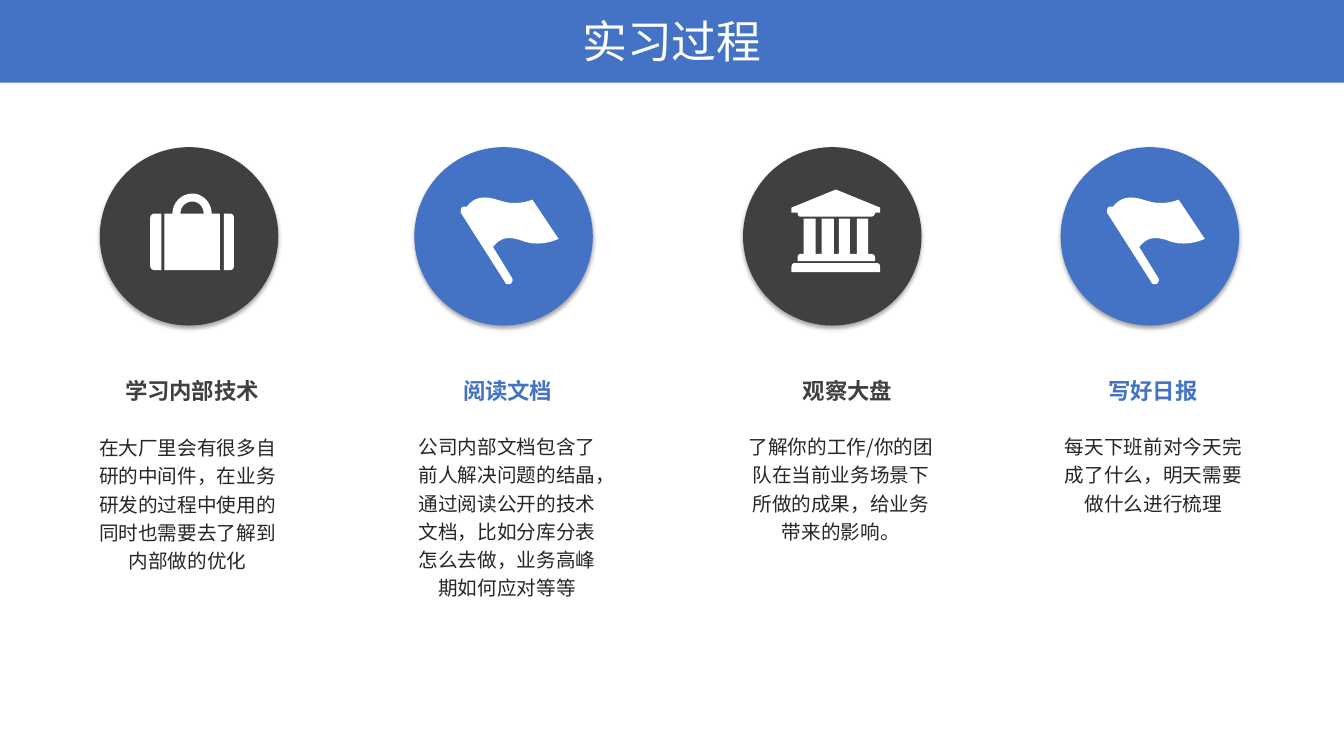
"""Build the internship process slide with four illustrated steps."""
from lxml import etree
from pptx import Presentation
from pptx import util as u
from pptx.dml.color import RGBColor
from pptx.enum import shapes, text
from pptx.oxml.ns import qn

TITLE = "实习过程"
STEPS = [
    dict(icon="briefcase", color="dark", circle=0.99, heading="学习内部技术",
         heading_box=(1.07, 3.69, 1.67, 0.49), body_box=(0.84, 4.23, 2.04, 1.8),
         body="在大厂里会有很多自研的中间件，在业务研发的过程中使用的同时也需要去了解到内部做的优化"),
    dict(icon="flag", color="blue", circle=4.11, heading="阅读文档",
         heading_box=(4.34, 3.69, 1.39, 0.37), body_box=(4.01, 4.22, 2.04, 2.08),
         body="公司内部文档包含了前人解决问题的结晶，通过阅读公开的技术文档，比如分库分表怎么去做，业务高峰期如何应对等等"),
    dict(icon="bank", color="dark", circle=7.37, heading="观察大盘",
         heading_box=(7.71, 3.69, 1.39, 0.37), body_box=(7.32, 4.22, 2.04, 1.23),
         body="了解你的工作/你的团队在当前业务场景下所做的成果，给业务带来的影响。"),
    dict(icon="flag", color="blue", circle=10.52, heading="写好日报",
         heading_box=(10.74, 3.69, 1.39, 0.37), body_box=(10.42, 4.22, 2.04, 0.95),
         body="每天下班前对今天完成了什么，明天需要做什么进行梳理"),
]
# Outlines are measured from the circle's corner; six numbers form a cubic curve.
ICONS = {
    "briefcase": [
        [(1.29, 1.22), (1.23, 1.22), (1.23, 0.66), (1.29, 0.66),
         (1.32, 0.66, 1.33, 0.68, 1.33, 0.7), (1.33, 1.18),
         (1.33, 1.2, 1.32, 1.22, 1.29, 1.22)],
        [(0.64, 1.22), (0.64, 0.66), (0.72, 0.66),
         (0.72, 0.55, 0.81, 0.46, 0.92, 0.46),
         (1.02, 0.46, 1.11, 0.55, 1.11, 0.66), (1.19, 0.66), (1.19, 1.22)],
        [(0.92, 0.54), (0.85, 0.54, 0.8, 0.59, 0.8, 0.66), (1.03, 0.66),
         (1.03, 0.59, 0.98, 0.54, 0.92, 0.54)],
        [(0.5, 1.18), (0.5, 0.7), (0.5, 0.68, 0.52, 0.66, 0.54, 0.66),
         (0.61, 0.66), (0.61, 1.22), (0.54, 1.22),
         (0.52, 1.22, 0.5, 1.2, 0.5, 1.18)],
    ],
    "flag": [
        [(1.17, 0.52), (1.17, 0.52, 1.02, 0.59, 0.85, 0.53),
         (0.68, 0.47, 0.59, 0.5, 0.52, 0.59), (0.48, 0.59),
         (0.46, 0.6, 0.46, 0.63, 0.46, 0.65), (0.9, 1.34),
         (0.9, 1.35, 0.91, 1.36, 0.93, 1.36),
         (0.94, 1.36, 0.95, 1.36, 0.96, 1.35),
         (0.97, 1.34, 0.98, 1.32, 0.97, 1.3), (0.78, 0.99),
         (0.85, 0.9, 0.93, 0.87, 1.1, 0.94),
         (1.27, 0.99, 1.43, 0.91, 1.43, 0.91)],
    ],
    "bank": [
        [(1.36, 0.6), (1.36, 0.65), (1.31, 0.65),
         (1.31, 0.67, 1.29, 0.69, 1.27, 0.69), (0.57, 0.69),
         (0.55, 0.69, 0.54, 0.67, 0.54, 0.65), (0.48, 0.65), (0.48, 0.6),
         (0.92, 0.42)],
        [(1.36, 1.19), (1.36, 1.24), (0.48, 1.24), (0.48, 1.19),
         (0.48, 1.16, 0.5, 1.15, 0.51, 1.15), (1.33, 1.15),
         (1.34, 1.15, 1.36, 1.16, 1.36, 1.19)],
        [(0.72, 0.71), (0.72, 1.06), (0.78, 1.06), (0.78, 0.71),
         (0.9, 0.71), (0.9, 1.06), (0.95, 1.06), (0.95, 0.71),
         (1.06, 0.71), (1.06, 1.06), (1.13, 1.06), (1.13, 0.71),
         (1.24, 0.71), (1.24, 1.06), (1.27, 1.06),
         (1.29, 1.06, 1.31, 1.07, 1.31, 1.1), (1.31, 1.13), (0.54, 1.13),
         (0.54, 1.1), (0.54, 1.07, 0.55, 1.06, 0.57, 1.06), (0.6, 1.06),
         (0.6, 0.71)],
    ],
}
THEME = dict(
    font="Noto Sans CJK SC",
    colors=dict(blue="4472C4", dark="404040", white="FFFFFF", ink="262626"),
    title=dict(size=u.Pt(32), bold=False),
    heading=dict(size=u.Pt(16), bold=True),
    body=dict(size=u.Pt(14), bold=False),
)
CIRCLE_TOP, CIRCLE_SIZE, CURVE_STEPS = 1.46, 1.77, 8


def rgb(name):
    return RGBColor.from_string(THEME["colors"][name])


def paint(shape, color):
    shape.shadow.inherit = False
    shape.fill.solid()
    shape.fill.fore_color.rgb = rgb(color)
    shape.line.fill.background()


def add_filled(page, kind, box, color):
    shape = page.shapes.add_shape(kind, *map(u.Inches, box))
    paint(shape, color)
    return shape


def cast_shadow(shape):
    effects = shape._element.spPr.find(qn("a:effectLst"))
    shadow = etree.SubElement(effects, qn("a:outerShdw"), blurRad=str(u.Pt(3.1)),
                              dist=str(u.Pt(1.8)), dir="5400000", rotWithShape="0")
    shade = etree.SubElement(shadow, qn("a:srgbClr"), val="000000")
    etree.SubElement(shade, qn("a:alpha"), val="35000")


def add_text(page, words, box, style, color, spacing=None):
    frame = page.shapes.add_textbox(*map(u.Inches, box)).text_frame
    frame.word_wrap = True
    para = frame.paragraphs[0]
    for name, value in dict(alignment=text.PP_ALIGN.CENTER, line_spacing=spacing).items():
        setattr(para, name, value)
    span = para.add_run()
    span.text = words
    for name, value in dict(THEME[style], name=THEME["font"]).items():
        setattr(span.font, name, value)
    span.font.color.rgb = rgb(color)
    etree.SubElement(span._r.get_or_add_rPr(), qn("a:ea"), typeface=THEME["font"])


def flatten(outline):
    points = [outline[0]]
    for piece in outline[1:]:
        if len(piece) == 2:
            points.append(piece)
            continue
        corners = [points[-1], piece[:2], piece[2:4], piece[4:]]
        for step in range(1, CURVE_STEPS + 1):
            t = step / CURVE_STEPS
            weights = ((1 - t) ** 3, 3 * t * (1 - t) ** 2, 3 * t * t * (1 - t), t ** 3)
            points.append(tuple(sum(w * corner[axis] for w, corner in zip(weights, corners))
                                for axis in (0, 1)))
    return points


def add_icon(page, outlines, left, top):
    builder = None
    for outline in outlines:
        points = [(u.Inches(left + x), u.Inches(top + y)) for x, y in flatten(outline)]
        if builder is None:
            builder = page.shapes.build_freeform(*points[0])
        else:
            builder.move_to(*points[0])
        builder.add_line_segments(points[1:], close=True)
    paint(builder.convert_to_shape(), "white")


def main():
    deck = Presentation()
    deck.slide_width, deck.slide_height = u.Inches(13.33), u.Inches(7.5)
    page = deck.slides.add_slide(deck.slide_layouts[6])
    add_filled(page, shapes.MSO_SHAPE.RECTANGLE, (0, 0, 13.33, 0.82), "blue")
    add_text(page, TITLE, (4.66, 0.09, 4.01, 0.64), "title", "white")
    for step in STEPS:
        circle_box = (step["circle"], CIRCLE_TOP, CIRCLE_SIZE, CIRCLE_SIZE)
        cast_shadow(add_filled(page, shapes.MSO_SHAPE.OVAL, circle_box, step["color"]))
        add_icon(page, ICONS[step["icon"]], step["circle"], CIRCLE_TOP)
        add_text(page, step["heading"], step["heading_box"], "heading", step["color"])
        add_text(page, step["body"], step["body_box"], "body", "ink", 1.2)
    deck.save("out.pptx")


if __name__ == "__main__":
    main()
